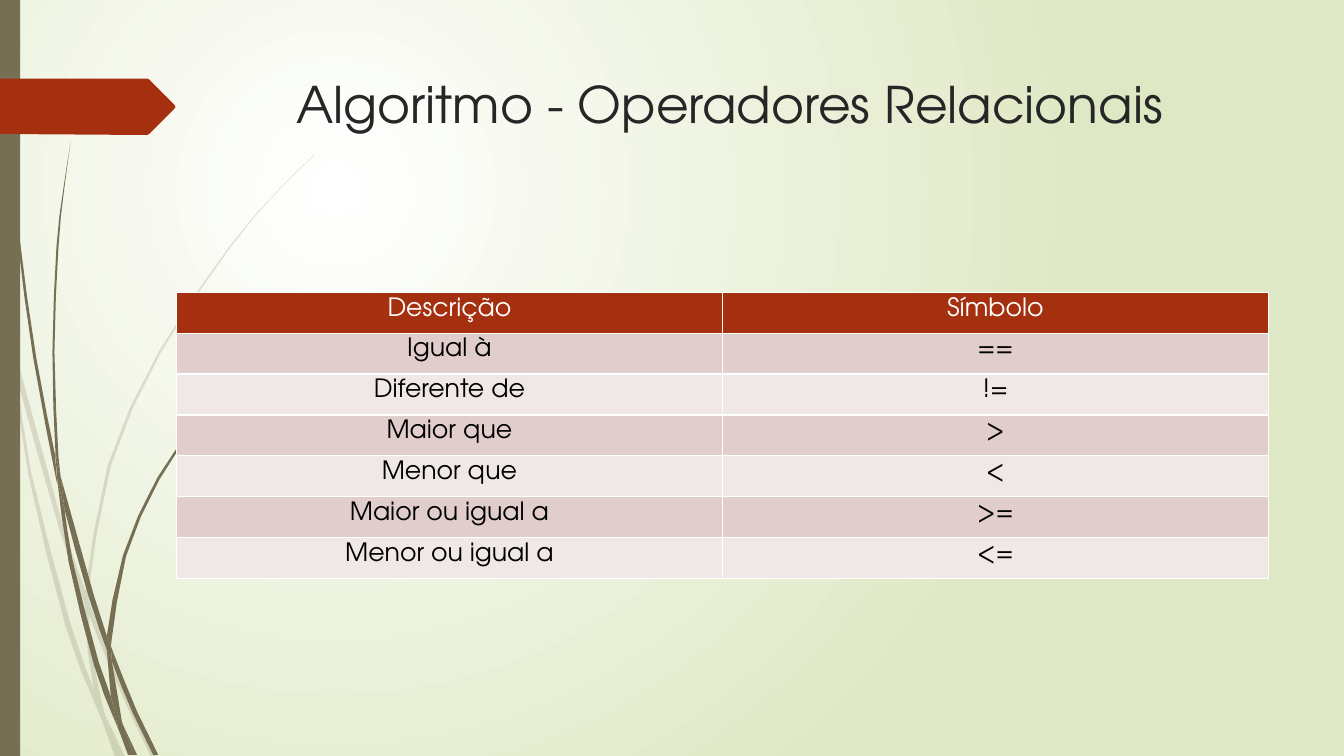
import math

import pptx
import pptx.dml.color
import pptx.enum.shapes
import pptx.enum.text
import pptx.oxml
import pptx.oxml.ns
import pptx.util
from lxml import etree

CELL = pptx.util.Inches(0.01)
COLUMNS, ROWS = 1333, 750
FONT = "TeX Gyre Adventor"
OLIVE = pptx.dml.color.RGBColor(0x76, 0x6F, 0x54)
RUST = pptx.dml.color.RGBColor(0xA5, 0x30, 0x10)
ROSE = pptx.dml.color.RGBColor(0xE1, 0xCD, 0xCC)
BLUSH = pptx.dml.color.RGBColor(0xF0, 0xE8, 0xE7)
LIME = pptx.dml.color.RGBColor(0xDF, 0xE8, 0xC4)
WHITE = pptx.dml.color.RGBColor(0xFF, 0xFF, 0xFF)
BLACK = pptx.dml.color.RGBColor(0, 0, 0)
CHARCOAL = pptx.dml.color.RGBColor(0x26, 0x26, 0x26)

OPERATORS = [
    ("Descrição", "Símbolo"),
    ("Igual à", "=="),
    ("Diferente de", "!="),
    ("Maior que", ">"),
    ("Menor que", "<"),
    ("Maior ou igual a", ">="),
    ("Menor ou igual a", "<="),
]

PALE_BLADES = [
    ([(11, 350), (9, 322), (0, 282)], [(0, 299), (10, 344), (11, 350)]),
    ([(14, 345), (17, 376), (58, 522), (84, 599)], [(85, 586), (62, 520), (14, 345)]),
    ([(88, 596), (88, 610), (123, 694), (150, 751)], [(155, 751), (127, 692), (92, 607), (88, 596)]),
    ([(119, 751), (124, 751)], [(105, 711), (119, 751)]),
    ([(93, 683), (70, 619), (31, 469), (17, 376), (11, 350)],
     [(11, 350), (28, 470), (65, 621), (92, 693), (101, 714), (99, 707), (93, 683)]),
    ([(84, 599), (87, 646), (93, 683), (96, 692), (105, 711)],
     [(103, 706), (91, 646), (88, 610), (88, 608), (84, 599)]),
    ([(88, 584), (110, 462), (160, 349), (229, 245), (268, 198), (290, 175), (312, 154)],
     [(312, 153), (289, 175), (268, 197), (228, 244), (158, 348), (107, 461), (85, 584), (85, 586), (88, 596)]),
    ([(101, 714), (114, 751)], [(119, 751), (101, 714)]),
    ([(88, 608), (88, 610), (88, 596)], [(85, 586), (84, 599), (88, 608)]),
    ([(96, 692), (93, 683), (99, 707), (101, 714), (119, 751)], [(105, 711), (96, 692)]),
]

DARK_BLADES = [
    ([(4, 0), (3, 0), (4, 48), (7, 110), (17, 233), (33, 355), (56, 477), (57, 481)],
     [(55, 457), (55, 453), (36, 355), (19, 232), (8, 109), (5, 48), (4, 0)]),
    ([(60, 472), (64, 505), (88, 592), (106, 645)], [(106, 633), (106, 631), (93, 590), (60, 472)]),
    ([(110, 641), (111, 656), (132, 708), (152, 749)], [(157, 749), (136, 706), (113, 649), (110, 641)]),
    ([(110, 691), (98, 657), (72, 556), (64, 505), (57, 477)],
     [(57, 477), (68, 557), (93, 659), (111, 708), (117, 722), (116, 717), (110, 691)]),
    ([(60, 472), (58, 453), (54, 349), (58, 245), (63, 193), (70, 141)],
     [(70, 141), (62, 193), (56, 245), (52, 349), (55, 449), (60, 472)]),
    ([(133, 749), (136, 749)], [(122, 719), (133, 749)]),
    ([(57, 477), (64, 505)], [(60, 472), (55, 449), (55, 453), (57, 477)]),
    ([(111, 633), (125, 552), (158, 476), (205, 406), (231, 374), (245, 359), (261, 344)],
     [(260, 344), (245, 358), (231, 373), (204, 405), (156, 474), (122, 551), (106, 631), (110, 641)]),
    ([(117, 722), (127, 749)], [(131, 749), (117, 722)]),
    ([(106, 645), (110, 691), (116, 706), (122, 719)],
     [(121, 716), (111, 656), (109, 651), (106, 645)]),
    ([(106, 645), (109, 651), (111, 656)], [(110, 641), (106, 631), (106, 633), (106, 645)]),
    ([(116, 706), (110, 691), (116, 717), (117, 722), (130, 749)],
     [(133, 749), (122, 719), (116, 706)]),
]

TAG = [(0, 78), (146, 78), (148, 79), (173, 104), (174, 106),
       (173, 108), (148, 133), (146, 134), (0, 133)]


def bend(edge, longest=50):
    """Bow the long spans of an edge with one point at their middle."""
    padded = [edge[0], *edge, edge[-1]]
    curve = [edge[0]]
    for before, start, end, after in zip(padded, padded[1:], padded[2:], padded[3:]):
        if math.dist(start, end) > longest:
            curve.append(tuple((9 * (q + r) - p - s) / 16
                               for p, q, r, s in zip(before, start, end, after)))
        curve.append(end)
    return curve


def paint(shape, color, opacity=100):
    """Give a shape a flat fill with no line or shadow."""
    shape.shadow.inherit = False
    shape.line.fill.background()
    shape.fill.solid()
    shape.fill.fore_color.rgb = color
    if opacity < 100:
        swatch = next(shape.element.iter(pptx.oxml.ns.qn("a:srgbClr")))
        etree.SubElement(swatch, pptx.oxml.ns.qn("a:alpha"), val=str(opacity * 1000))


def add_outline(shapes, points, color, opacity=100):
    """Draw a closed outline from grid points."""
    corners = [(round(x * CELL), round(y * CELL)) for x, y in points]
    builder = shapes.build_freeform(*corners[0])
    builder.add_line_segments(corners[1:], close=True)
    paint(builder.convert_to_shape(), color, opacity)


def add_grass(slide, blades, opacity):
    """Group a tuft of curved blades."""
    tuft = slide.shapes.add_group_shape()
    for outward, back in blades:
        rim = dict.fromkeys(bend(outward) + bend(back))
        add_outline(tuft.shapes, list(rim), OLIVE, opacity)


def add_side_bar(slide):
    """Add the bar along the left edge."""
    bar = slide.shapes.add_shape(pptx.enum.shapes.MSO_SHAPE.RECTANGLE,
                                 0, 0, 20 * CELL, ROWS * CELL)
    paint(bar, OLIVE)


def add_backdrop(slide):
    """Fill the background with a circular gradient."""
    fill = slide.background.fill
    fill.gradient()
    for stop, position, color in zip(fill.gradient_stops, (0, 1), (WHITE, LIME)):
        stop.position = position
        stop.color.rgb = color
    gradient = next(slide.element.iter(pptx.oxml.ns.qn("a:gradFill")))
    for direction in gradient.findall(pptx.oxml.ns.qn("a:lin")):
        gradient.remove(direction)
    circle = etree.SubElement(gradient, pptx.oxml.ns.qn("a:path"), path="circle")
    etree.SubElement(circle, pptx.oxml.ns.qn("a:fillToRect"),
                     l="50000", t="50000", r="100000", b="100000")


def style(paragraph, size, color):
    """Set the font of a paragraph."""
    paragraph.font.name = FONT
    paragraph.font.size = pptx.util.Pt(size)
    paragraph.font.bold = False
    paragraph.font.color.rgb = color


def add_title(slide, wording):
    """Add the heading."""
    heading = slide.shapes.add_textbox(284 * CELL, 68 * CELL, 975 * CELL, 140 * CELL)
    heading.text_frame.word_wrap = True
    heading.text_frame.text = wording
    style(heading.text_frame.paragraphs[0], 36, CHARCOAL)


def add_borders(cell):
    """Rule the four sides of a cell in white."""
    properties = cell._tc.get_or_add_tcPr()
    for side in "LRTB":
        rule = etree.SubElement(properties, pptx.oxml.ns.qn(f"a:ln{side}"),
                                w=str(pptx.util.Pt(1)))
        solid = etree.SubElement(rule, pptx.oxml.ns.qn("a:solidFill"))
        etree.SubElement(solid, pptx.oxml.ns.qn("a:srgbClr"), val=str(WHITE))


def add_operator_table(slide):
    """Add the table of relational operators."""
    table = slide.shapes.add_table(len(OPERATORS), 2, 175 * CELL, 290 * CELL,
                                   1083 * CELL, 284 * CELL).table
    for row, wordings in enumerate(OPERATORS):
        header = row == 0
        for column, wording in enumerate(wordings):
            cell = table.cell(row, column)
            add_borders(cell)
            cell.fill.solid()
            cell.fill.fore_color.rgb = RUST if header else (BLUSH, ROSE)[row % 2]
            cell.text = wording
            paragraph = cell.text_frame.paragraphs[0]
            paragraph.alignment = pptx.enum.text.PP_ALIGN.CENTER
            style(paragraph, 18, WHITE if header else BLACK)


def main():
    """Build and save the slide."""
    deck = pptx.Presentation()
    deck.slide_width, deck.slide_height = COLUMNS * CELL, ROWS * CELL
    slide = deck.slides.add_slide(deck.slide_layouts[6])
    add_backdrop(slide)
    add_grass(slide, PALE_BLADES, 20)
    add_grass(slide, DARK_BLADES, 100)
    add_side_bar(slide)
    add_outline(slide.shapes, TAG, RUST)
    add_title(slide, "Algoritmo - Operadores Relacionais")
    add_operator_table(slide)
    deck.save("out.pptx")


if __name__ == "__main__":
    main()
